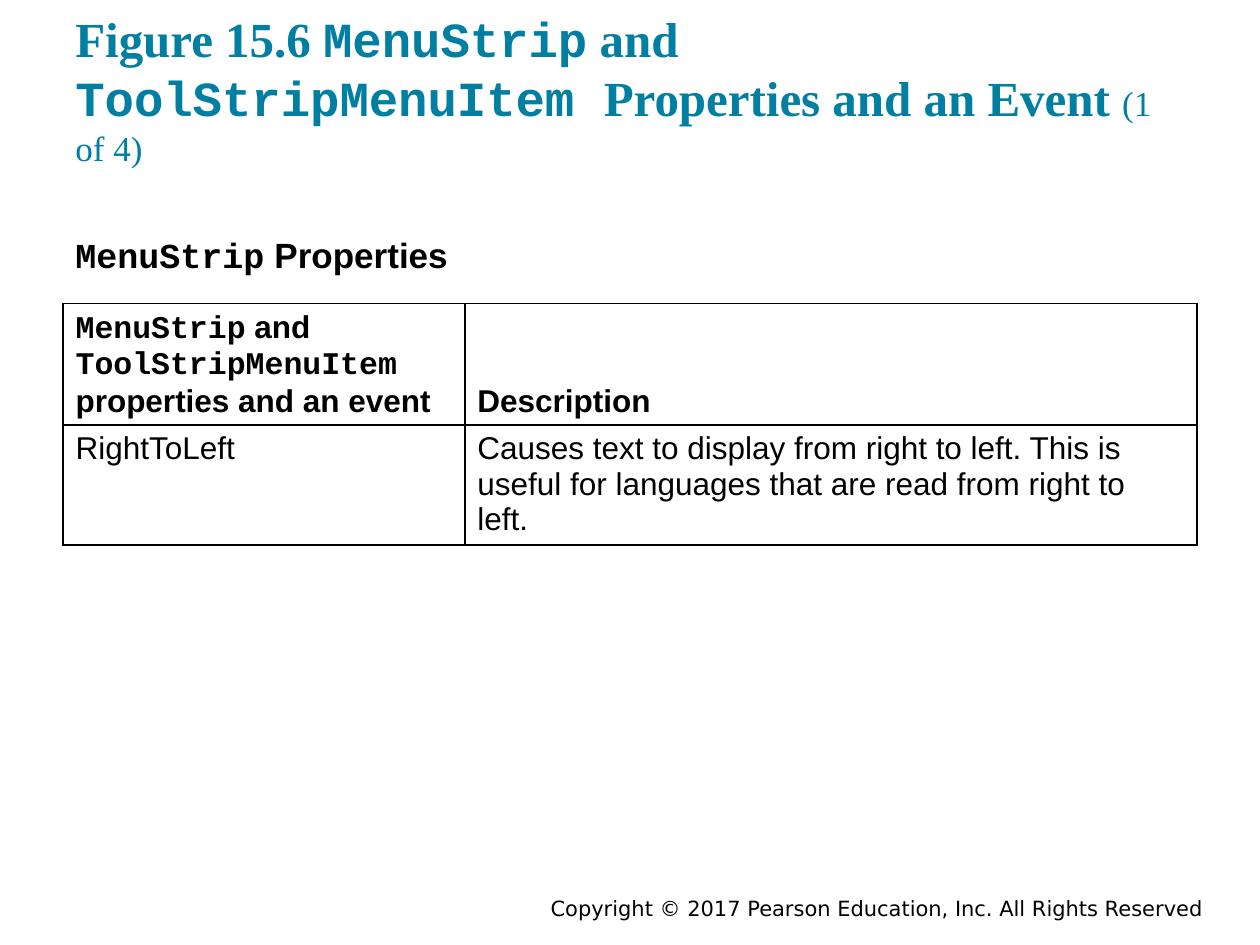
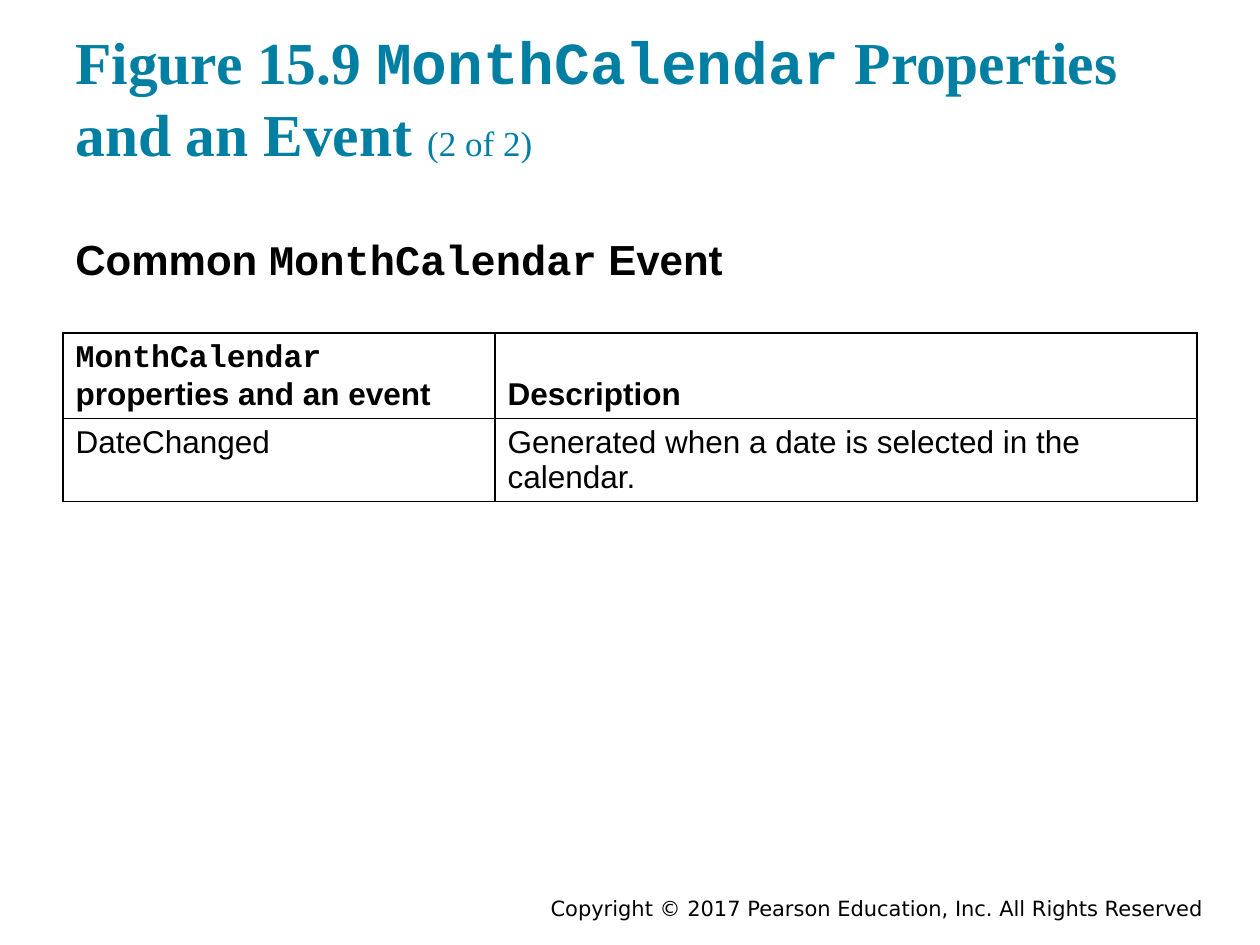
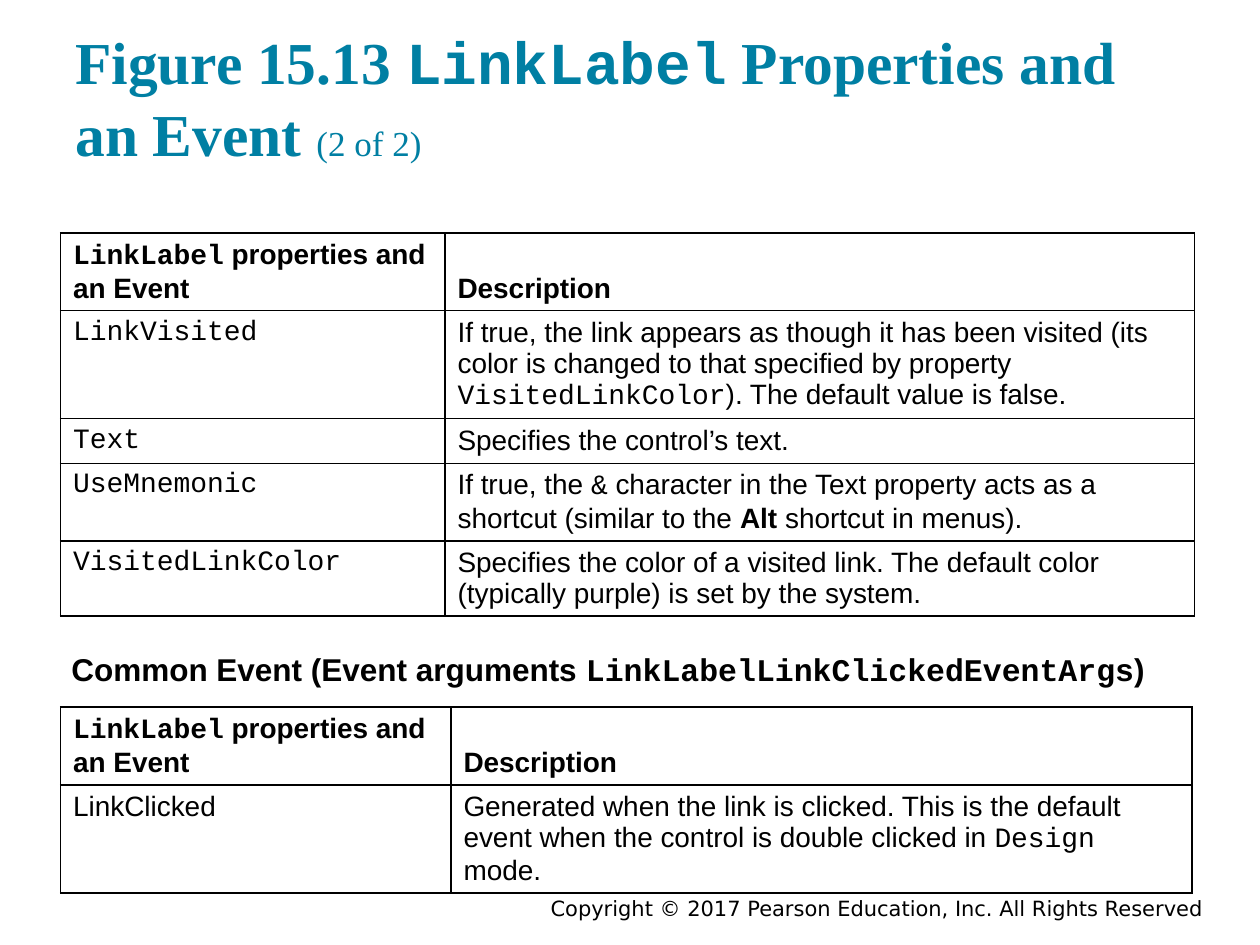
from lxml.etree import SubElement
from pptx import Presentation
from pptx.dml.color import RGBColor
from pptx.enum.text import MSO_ANCHOR as Anchor, PP_ALIGN as Align
from pptx.oxml.ns import qn
from pptx.util import Cm, Pt

BLACK, WHITE, TEAL = "000000", "FFFFFF", "007FA3"
SANS, SERIF, CODE = "Arial", "Times New Roman", "Courier New"
TITLE_BOX = (1.27, 0.59, 22.86, 3.05)
FOOTER_BOX = (7.62, 17.98, 16.89, 0.64)
COPYRIGHT = "Copyright © 2017 Pearson Education, Inc. All Rights Reserved"

# The free side of a cell has no margin, so the row heights hold
HEADER_CELL = {"vertical_anchor": Anchor.BOTTOM, "margin_top": 0}
BODY_CELL = {"vertical_anchor": Anchor.TOP, "margin_bottom": 0}


def color(hex_code):
    return RGBColor.from_string(hex_code)


def set_all(target, values):
    for name, value in values.items():
        setattr(target, name, value)


def add_run(paragraph, text, size, face=SANS, bold=False, ink=BLACK):
    run = paragraph.add_run()
    run.text = text
    set_all(run.font, {"size": Pt(size), "name": face, "bold": bold})
    run.font.color.rgb = color(ink)


def write(paragraph, marked, size, face=SANS, bold=False, ink=BLACK):
    """Backticks enclose code, asterisks enclose bold words."""
    for i, part in enumerate(marked.split("`")):
        for j, words in enumerate(part.split("*")):
            if words:
                add_run(paragraph, words, size, CODE if i % 2 else face,
                        bold or j % 2 == 1, ink)


def add_text(slide, box, inset, anchor):
    frame = slide.shapes.add_textbox(*map(Cm, box)).text_frame
    set_all(frame, {"word_wrap": True, "vertical_anchor": anchor,
                    "margin_top": Cm(inset), "margin_bottom": Cm(inset)})
    return frame.paragraphs[0]


def add_title(slide, marked, size, count):
    title = add_text(slide, TITLE_BOX, 0.25, Anchor.BOTTOM)
    write(title, marked, size, SERIF, True, TEAL)
    add_run(title, count, 20, SERIF, ink=TEAL)


def add_heading(slide, box, marked, size):
    write(add_text(slide, box, 0.25, Anchor.TOP), marked, size, bold=True)


def add_footer(slide):
    footer = add_text(slide, FOOTER_BOX, 0.13, Anchor.MIDDLE)
    footer.alignment = Align.RIGHT
    add_run(footer, COPYRIGHT, 12, "DejaVu Sans")


def add_borders(cell):
    properties = cell._tc.get_or_add_tcPr()
    for position, side in enumerate(("lnL", "lnR", "lnT", "lnB")):
        line = SubElement(properties, qn(f"a:{side}"), w=str(Pt(1)))
        properties.insert(position, line)
        ink = SubElement(line, qn("a:solidFill"))
        SubElement(ink, qn("a:srgbClr"), val=BLACK)


def add_members(slide, corner, widths, heights, rows, size, fill=None):
    """Table of members and descriptions, the first row being its header."""
    box = (*corner, sum(widths), sum(heights))
    table = slide.shapes.add_table(len(rows), len(widths),
                                   *map(Cm, box)).table
    set_all(table, {"first_row": False, "horz_banding": False})
    for column, width in zip(table.columns, widths):
        column.width = Cm(width)
    for r, (height, texts) in enumerate(zip(heights, rows)):
        table.rows[r].height = Cm(height)
        for c, marked in enumerate(texts):
            cell = table.cell(r, c)
            set_all(cell, BODY_CELL if r else HEADER_CELL)
            write(cell.text_frame.paragraphs[0], marked, size, bold=r == 0)
            if fill:
                cell.fill.solid()
                cell.fill.fore_color.rgb = color(fill)
            else:
                cell.fill.background()
            add_borders(cell)


def menu_strip_slide(slide):
    add_title(slide, "Figure 15.6 `MenuStrip` and `ToolStripMenuItem `"
              "Properties and an Event ", 28, "(1 of 4)")
    add_heading(slide, (1.27, 4.45, 22.86, 1.24), "`MenuStrip` Properties", 20)
    add_members(slide, (1.27, 6.12), (8.1, 14.76), (2.45, 2.39), [
        ("`MenuStrip` and `ToolStripMenuItem `properties and an event",
         "Description"),
        ("RightToLeft", "Causes text to display from right to left. This is "
         "useful for languages that are read from right to left."),
    ], 18)


def month_calendar_slide(slide):
    add_title(slide, "Figure 15.9 `MonthCalendar` Properties and an Event ",
              34, "(2 of 2)")
    add_heading(slide, (1.27, 4.45, 22.86, 12.57),
                "Common `MonthCalendar` Event", 24)
    add_members(slide, (1.27, 6.71), (8.71, 14.15), (1.73, 1.67), [
        ("`MonthCalendar` properties and an event", "Description"),
        ("DateChanged", "Generated when a date is selected in the calendar."),
    ], 18, WHITE)


def link_label_slide(slide):
    add_title(slide, "Figure 15.13 `LinkLabel` Properties and an Event ",
              34, "(2 of 2)")
    header = ("`LinkLabel` properties and an Event", "Description")
    # Properties
    add_members(slide, (1.22, 4.7), (7.75, 15.11),
                (1.56, 2.18, 0.9, 1.57, 1.51), [
        header,
        ("`LinkVisited`", "If true, the link appears as though it has been "
         "visited (its color is changed to that specified by property "
         "`VisitedLinkColor`). The default value is false."),
        ("`Text`", "Specifies the control’s text."),
        ("`UseMnemonic`", "If true, the `&` character in the Text property "
         "acts as a shortcut (similar to the *Alt *shortcut in menus)."),
        ("`VisitedLinkColor`", "Specifies the color of a visited link. The "
         "default color (typically purple) is set by the system."),
    ], 16, WHITE)
    # Event, kept clear of the footer
    add_heading(slide, (1.19, 12.85, 22.86, 1.19), "Common Event (Event "
                "arguments `LinkLabelLinkClickedEventArgs`)", 18)
    add_members(slide, (1.22, 14.25), (7.87, 14.94), (1.57, 2.18), [
        header,
        ("LinkClicked", "Generated when the link is clicked. This is the "
         "default event when the control is double clicked in `Design `mode."),
    ], 16)


def main():
    deck = Presentation()
    set_all(deck, {"slide_width": Cm(25.4), "slide_height": Cm(19.05)})
    for build in (menu_strip_slide, month_calendar_slide, link_label_slide):
        slide = deck.slides.add_slide(deck.slide_layouts[6])
        add_footer(slide)
        build(slide)
    deck.save("out.pptx")


if __name__ == "__main__":
    main()
